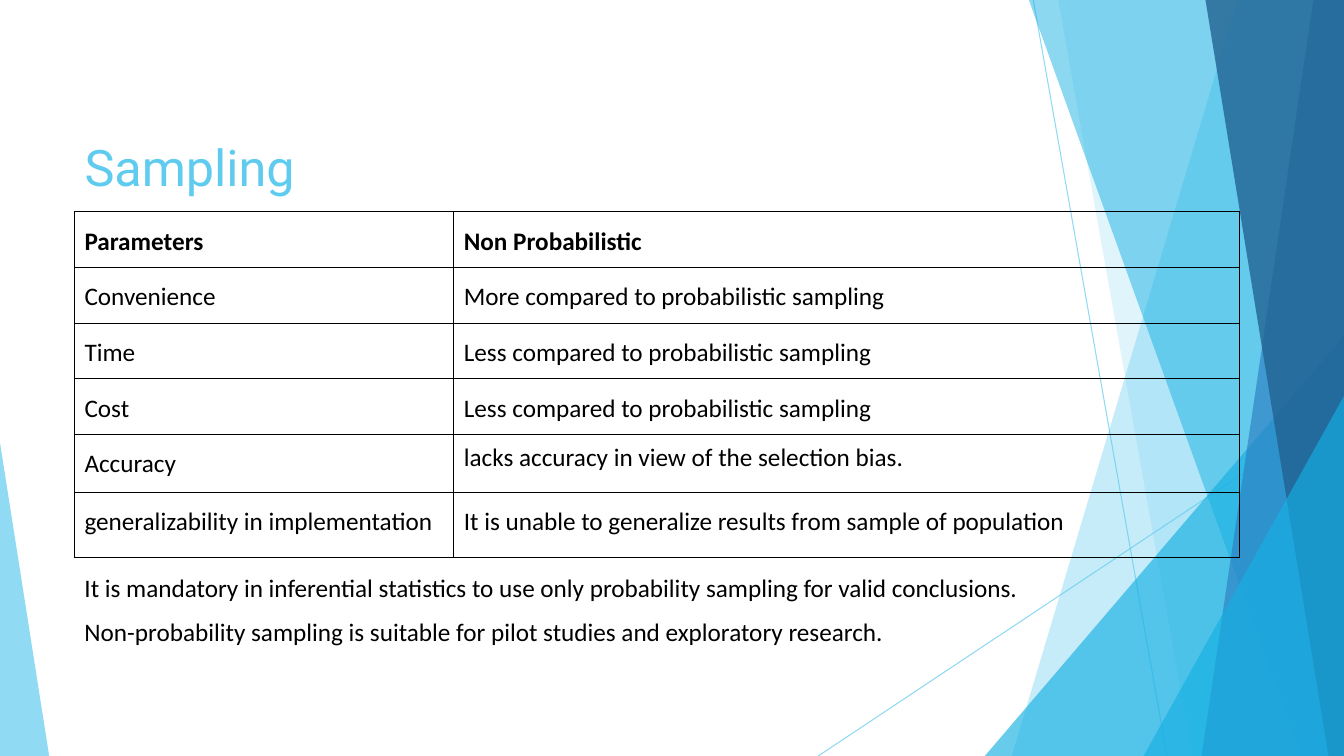
import pptx
import pptx.util
import pptx.dml.color
import pptx.enum.shapes
import pptx.enum.text
import pptx.oxml
import pptx.oxml.ns

Cm, Pt = pptx.util.Cm, pptx.util.Pt
ANCHOR = pptx.enum.text.MSO_ANCHOR
WIDTH, HEIGHT = 33.87, 19.05


class Theme:
    sky, cyan, blue, navy, ink = "5FCBEF", "16B0E3", "2E83C3", "226292", "000000"
    title = {"name": "Roboto", "size": Pt(36), "color": sky}
    text = {"name": "Calibri", "size": Pt(18), "color": ink, "bold": False}
    header = {**text, "bold": True}
    line_width = 0.75


def rgb(value):
    return pptx.dml.color.RGBColor.from_string(value)


def set_alpha(element, percent):
    for color in element.xpath(".//a:srgbClr"):
        alpha = pptx.oxml.parse_xml(
            f'<a:alpha {pptx.oxml.ns.nsdecls("a")} val="{percent * 1000}"/>')
        color.append(alpha)


class SlideBuilder:
    def __init__(self, prs, theme):
        self.theme = theme
        self.s = prs.slides.add_slide(prs.slide_layouts[5])

    def add_text(self, p, text, style, **spacing):
        for name, value in {"alignment": pptx.enum.text.PP_ALIGN.LEFT, **spacing}.items():
            setattr(p, name, value)
        r = p.add_run()
        r.text = text
        for name, value in style.items():
            if name == "color":
                r.font.color.rgb = rgb(value)
            else:
                setattr(r.font, name, value)

    def frame(self, tf, bottom):
        values = {"word_wrap": True, "auto_size": pptx.enum.text.MSO_AUTO_SIZE.NONE,
                  "vertical_anchor": ANCHOR.BOTTOM, "margin_left": Cm(0.25),
                  "margin_right": Cm(0.25), "margin_bottom": Cm(bottom)}
        for name, value in values.items():
            setattr(tf, name, value)

    def title(self, text, left, top, width, height):
        sp = self.s.shapes.title
        sp.left, sp.top, sp.width, sp.height = map(Cm, (left, top, width, height))
        self.frame(sp.text_frame, 0.4)
        self.add_text(sp.text_frame.paragraphs[0], text, self.theme.title)

    def body(self, lines, left, top, width, height):
        tf = self.s.shapes.add_textbox(*map(Cm, (left, top, width, height))).text_frame
        self.frame(tf, 1.95)
        for i, line in enumerate(lines):
            p = tf.add_paragraph() if i else tf.paragraphs[0]
            self.add_text(p, line, self.theme.text, line_spacing=0.9,
                          space_before=Pt(12 if i else 0))

    def line(self, x1, y1, x2, y2, color, alpha):
        c = self.s.shapes.add_connector(
            pptx.enum.shapes.MSO_CONNECTOR.STRAIGHT, *map(Cm, (x1, y1, x2, y2)))
        c.line.color.rgb = rgb(color)
        c.line.width = Pt(self.theme.line_width)
        set_alpha(c._element.spPr, alpha)
        c._element.spPr.append(
            pptx.oxml.parse_xml(f'<a:effectLst {pptx.oxml.ns.nsdecls("a")}/>'))

    def paint(self, sp, color, alpha):
        sp.shadow.inherit = False
        sp.fill.solid()
        sp.fill.fore_color.rgb = rgb(color)
        sp.line.fill.background()
        set_alpha(sp._element.spPr, alpha)

    def strip(self, top_x, bottom_x, color, alpha):
        """Full-height band from a slanted left side to the slide's right edge."""
        outline = self.s.shapes.build_freeform(Cm(top_x), 0)
        corners = [(WIDTH, 0), (WIDTH, HEIGHT), (bottom_x, HEIGHT)]
        outline.add_line_segments([(Cm(x), Cm(y)) for x, y in corners])
        self.paint(outline.convert_to_shape(), color, alpha)

    def corner(self, width, height, color, alpha, right=True):
        """Right triangle standing in a bottom corner of the slide."""
        sp = self.s.shapes.add_shape(
            pptx.enum.shapes.MSO_SHAPE.ISOSCELES_TRIANGLE,
            Cm(WIDTH - width if right else 0), Cm(HEIGHT - height), Cm(width), Cm(height))
        sp.adjustments[0] = 1 if right else 0
        self.paint(sp, color, alpha)

    def borders(self, cell):
        tc_pr = cell._tc.get_or_add_tcPr()
        for side in ("lnL", "lnR", "lnT", "lnB"):
            tc_pr.append(pptx.oxml.parse_xml(
                f'<a:{side} {pptx.oxml.ns.nsdecls("a")} w="{Pt(self.theme.line_width)}">'
                f'<a:solidFill><a:srgbClr val="{self.theme.ink}"/></a:solidFill></a:{side}>'))

    def table(self, rows, left, top, widths, heights):
        tbl = self.s.shapes.add_table(
            len(rows), len(widths), Cm(left), Cm(top),
            Cm(sum(widths)), Cm(sum(heights))).table
        tbl.first_row = tbl.horz_banding = False
        for column, width in zip(tbl.columns, widths):
            column.width = Cm(width)
        for i, (row, height) in enumerate(zip(rows, heights)):
            tbl.rows[i].height = Cm(height)
            for j, text in enumerate(row):
                cell = tbl.cell(i, j)
                for side in ("left", "right", "top", "bottom"):
                    setattr(cell, f"margin_{side}", Cm(0.25))
                self.borders(cell)
                cell.fill.background()
                spacing = 0.9 if text.startswith("lacks") else 1.15
                self.add_text(cell.text_frame.paragraphs[0], text,
                              self.theme.text if i else self.theme.header,
                              line_spacing=spacing)


def main():
    prs = pptx.Presentation()
    prs.slide_width, prs.slide_height = Cm(WIDTH), Cm(HEIGHT)
    t = Theme()
    b = SlideBuilder(prs, t)

    # Translucent facets, back to front
    b.line(26.04, 0, 29.41, HEIGHT, t.sky, 69)
    b.line(WIDTH, 10.24, 20.62, HEIGHT, t.sky, 69)
    b.strip(31.19, 25.5, t.sky, 35)
    b.strip(26.67, 30.05, t.sky, 20)
    b.corner(9.05, 10.59, t.cyan, 65)
    b.strip(25.93, 32.79, t.cyan, 49)
    b.strip(33.1, 30.28, t.blue, 69)
    b.strip(30.38, 33.48, t.navy, 80)
    b.corner(5.05, 9.07, t.cyan, 65)
    b.corner(1.24, 7.9, t.sky, 69, right=False)

    # Title and closing remarks
    left = 1.88
    b.title("Sampling", left, 1.7, 23.88, 3.66)
    b.body(["It is mandatory in inferential statistics to use only probability sampling "
            "for valid conclusions.",
            "Non-probability sampling is suitable for pilot studies and exploratory research."],
           left, 5.36, 28.32, 12.9)

    # Sampling parameters
    b.table([("Parameters", "Non Probabilistic"),
             ("Convenience", "More compared to probabilistic sampling"),
             ("Time", "Less compared to probabilistic sampling"),
             ("Cost", "Less compared to probabilistic sampling"),
             ("Accuracy", "lacks accuracy in view of the selection bias."),
             ("generalizability in implementation",
              "It is unable to generalize results from sample of population")],
            left, 5.34, [9.56, 19.8], [1.4] * 4 + [1.47, 1.65])

    prs.save("out.pptx")


if __name__ == "__main__":
    main()
